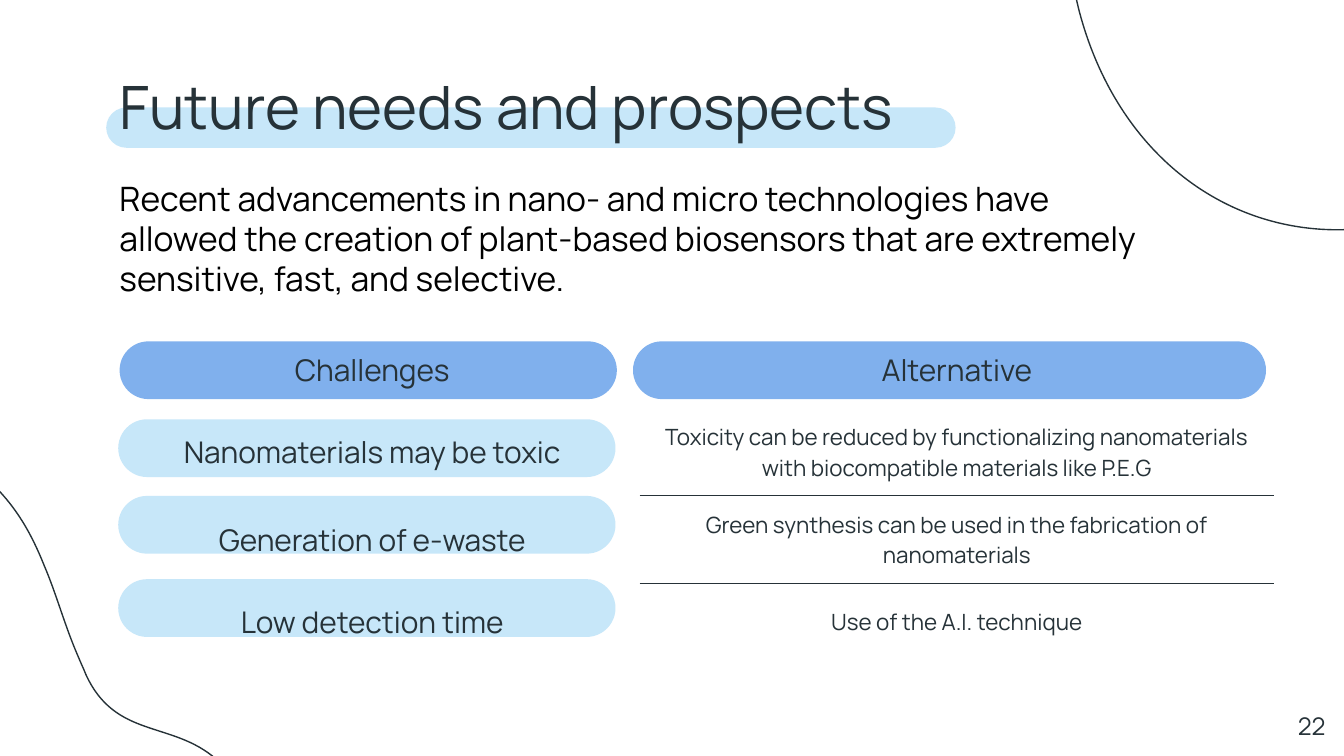
from lxml import etree
from pptx import Presentation
from pptx.dml.color import RGBColor
from pptx.enum.shapes import MSO_SHAPE
from pptx.enum.text import MSO_ANCHOR, PP_ALIGN
from pptx.oxml.ns import qn
from pptx.util import Inches, Pt

LEFT, CENTER, RIGHT = PP_ALIGN.LEFT, PP_ALIGN.CENTER, PP_ALIGN.RIGHT
MIDDLE = MSO_ANCHOR.MIDDLE
ROUND = MSO_SHAPE.ROUNDED_RECTANGLE
FONT = "Manrope"
INK, BLACK, SKY, BLUE = "263238", "000000", "C7E7F9", "80B0ED"
NO_STYLE = "{2D5ABB26-0587-4C30-8999-92F81FD0307C}"
WIDE = 10
PAD = 0.1

TITLE = "Future needs and prospects"
INTRO = ("Recent advancements in nano- and micro technologies have allowed the "
         "creation of plant-based biosensors that are extremely sensitive, fast, "
         "and selective.")
PAGE = "22"
ROWS = [
    ("Challenges", "Alternative"),
    ("Nanomaterials may be toxic",
     "Toxicity can be reduced by functionalizing nanomaterials with "
     "biocompatible materials like P.E.G"),
    ("Generation of e-waste",
     "Green synthesis can be used in the fabrication of nanomaterials"),
    ("Low detection time", "Use of the A.I. technique"),
]
COLS, HEIGHTS = (3.98, 4.72), (0.58, 0.65, 0.65, 0.58)

# left, top, width, height, colour
PILLS = [(0.79, 0.8, 6.32, 0.3, SKY), (4.71, 2.54, 4.71, 0.43, BLUE),
         (0.89, 2.54, 3.7, 0.43, BLUE)]
PILLS += [(0.88, top, 3.7, 0.43, SKY) for top in (3.12, 3.69, 4.31)]

# Start point, then three points for each Bezier curve
BLOBS = [
    [(10.98, 1.13),
     (10.98, 1.05), (10.97, 0.95), (10.93, 0.84),
     (10.77, 0.43), (10.34, 0.36), (10.37, -0.17),
     (10.38, -0.23), (10.38, -0.28), (10.39, -0.33),
     (10.42, -0.58), (10.47, -0.81), (10.49, -1.03),
     (10.52, -1.3), (10.52, -1.57), (10.39, -1.88),
     (10.17, -2.41), (9.78, -2.55), (9.31, -2.51),
     (8.48, -2.43), (8.03, -1.78), (7.94, -0.98),
     (7.91, -0.64), (7.94, -0.28), (8.03, 0.08),
     (8.33, 1.22), (9.24, 1.83), (10.23, 1.69),
     (10.53, 1.65), (10.94, 1.48), (10.98, 1.13)],
    [(1.79, 5.88),
     (1.76, 5.8), (1.7, 5.72), (1.61, 5.65),
     (1.28, 5.36), (0.86, 5.5), (0.64, 5.02),
     (0.62, 4.97), (0.6, 4.93), (0.58, 4.88),
     (0.48, 4.65), (0.42, 4.42), (0.33, 4.21),
     (0.23, 3.96), (0.1, 3.72), (-0.16, 3.51),
     (-0.61, 3.15), (-1.01, 3.21), (-1.41, 3.48),
     (-2.1, 3.93), (-2.19, 4.72), (-1.88, 5.47),
     (-1.75, 5.78), (-1.56, 6.09), (-1.3, 6.36),
     (-0.5, 7.22), (0.59, 7.33), (1.4, 6.73),
     (1.64, 6.55), (1.92, 6.21), (1.79, 5.88)],
]


def paint(color, tint):
    color.rgb = RGBColor.from_string(tint)


def write(frame, text, size=12, tint=INK, align=LEFT):
    para = frame.paragraphs[0]
    para.alignment = align
    run = para.add_run()
    run.text = text
    run.font.name = FONT
    run.font.size = Pt(size)
    paint(run.font.color, tint)


def label(slide, box, text, **style):
    frame = slide.shapes.add_textbox(*map(Inches, box)).text_frame
    frame.word_wrap = True
    frame.margin_left = frame.margin_right = Inches(PAD)
    frame.margin_top = frame.margin_bottom = Inches(PAD)
    write(frame, text, **style)


def pill(slide, *box, tint):
    shape = slide.shapes.add_shape(ROUND, *map(Inches, box))
    shape.adjustments[0] = 0.5
    shape.shadow.inherit = False
    shape.fill.solid()
    paint(shape.fill.fore_color, tint)
    shape.line.fill.background()


def blob(slide, points):
    """Outline a closed shape, turning each three line points into a curve."""
    start, *rest = [(Inches(x), Inches(y)) for x, y in points]
    pen = slide.shapes.build_freeform(*start)
    pen.add_line_segments(rest, close=True)
    shape = pen.convert_to_shape()
    shape.shadow.inherit = False
    shape.fill.background()
    paint(shape.line.color, INK)
    shape.line.width = Pt(0.75)
    steps = list(shape._element.iter(qn("a:lnTo")))
    for i in range(0, len(rest), 3):
        curve = etree.Element(qn("a:cubicBezTo"))
        steps[i].addprevious(curve)
        for step in steps[i:i + 3]:
            curve.append(step[0])
            step.getparent().remove(step)


def border(cell, side):
    line = etree.Element(qn("a:ln" + side), w=str(Pt(0.75)))
    fill = etree.SubElement(line, qn("a:solidFill"))
    etree.SubElement(fill, qn("a:srgbClr"), val=INK)
    cell._tc.get_or_add_tcPr().insert(0, line)


def grid(slide, left, top):
    size = map(Inches, (left, top, sum(COLS), sum(HEIGHTS)))
    frame = slide.shapes.add_table(len(ROWS), len(COLS), *size)
    table = frame.table
    table.first_row = table.horz_banding = False
    next(frame._element.iter(qn("a:tableStyleId"))).text = NO_STYLE
    for col, width in zip(table.columns, COLS):
        col.width = Inches(width)
    for r, row in enumerate(ROWS):
        table.rows[r].height = Inches(HEIGHTS[r])
        for c, text in enumerate(row):
            cell = table.cell(r, c)
            cell.fill.background()
            cell.vertical_anchor = MIDDLE
            cell.margin_left = cell.margin_right = Inches(PAD)
            cell.margin_top = cell.margin_bottom = Inches(PAD)
            write(cell.text_frame, text, size=12 if r and c else 16, align=CENTER)
            if c and 0 < r < len(ROWS) - 1:
                border(cell, "B")
            if c and r > 1:
                border(cell, "T")


def main():
    deck = Presentation()
    deck.slide_width, deck.slide_height = Inches(WIDE), Inches(WIDE * 9 / 16)
    slide = deck.slides.add_slide(deck.slide_layouts[6])
    for points in BLOBS:
        blob(slide, points)
    for *box, tint in PILLS:
        pill(slide, *box, tint=tint)
    label(slide, (0.79, 1.22, 7.99, 0.99), INTRO, size=18, tint=BLACK)
    grid(slide, 0.78, 2.46)
    label(slide, (0.79, 0.42, 8.43, 0.67), TITLE, size=32)
    label(slide, (9.36, 5.19, 0.6, 0.43), PAGE, size=13, align=RIGHT)
    deck.save("out.pptx")


if __name__ == "__main__":
    main()
